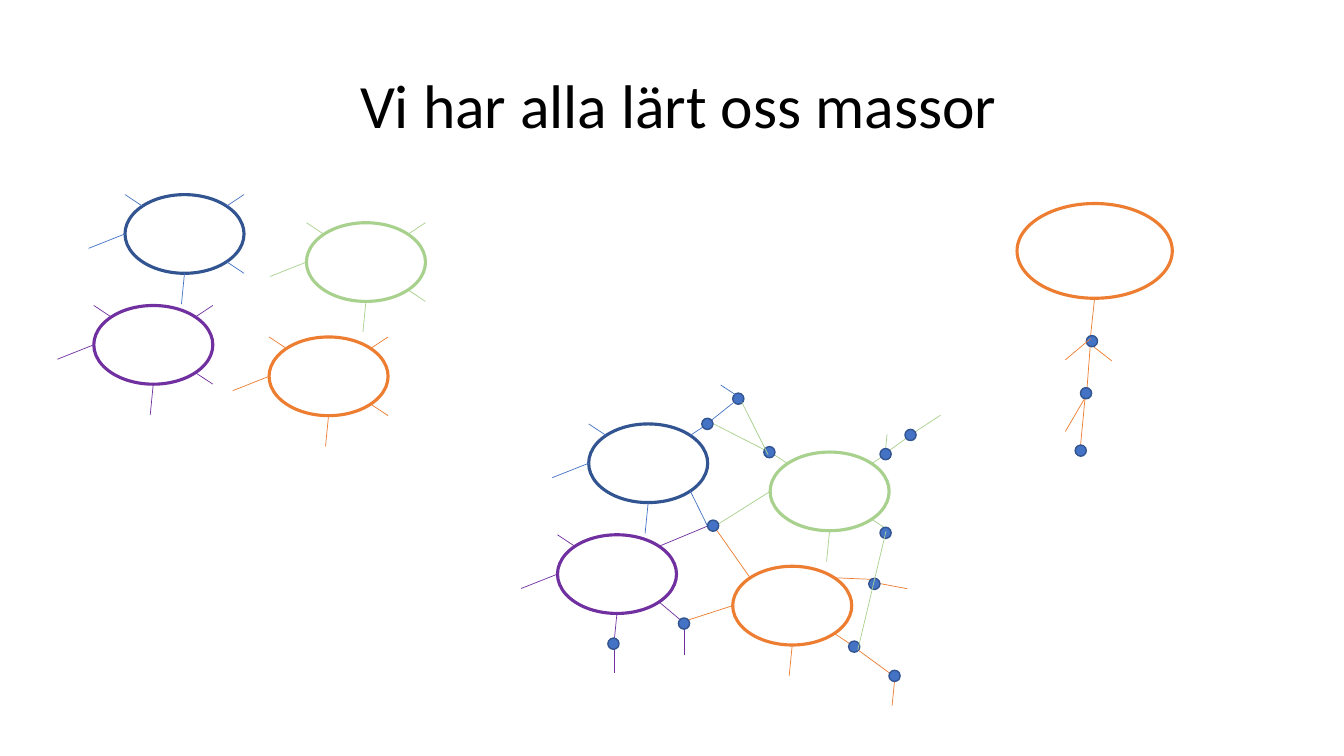
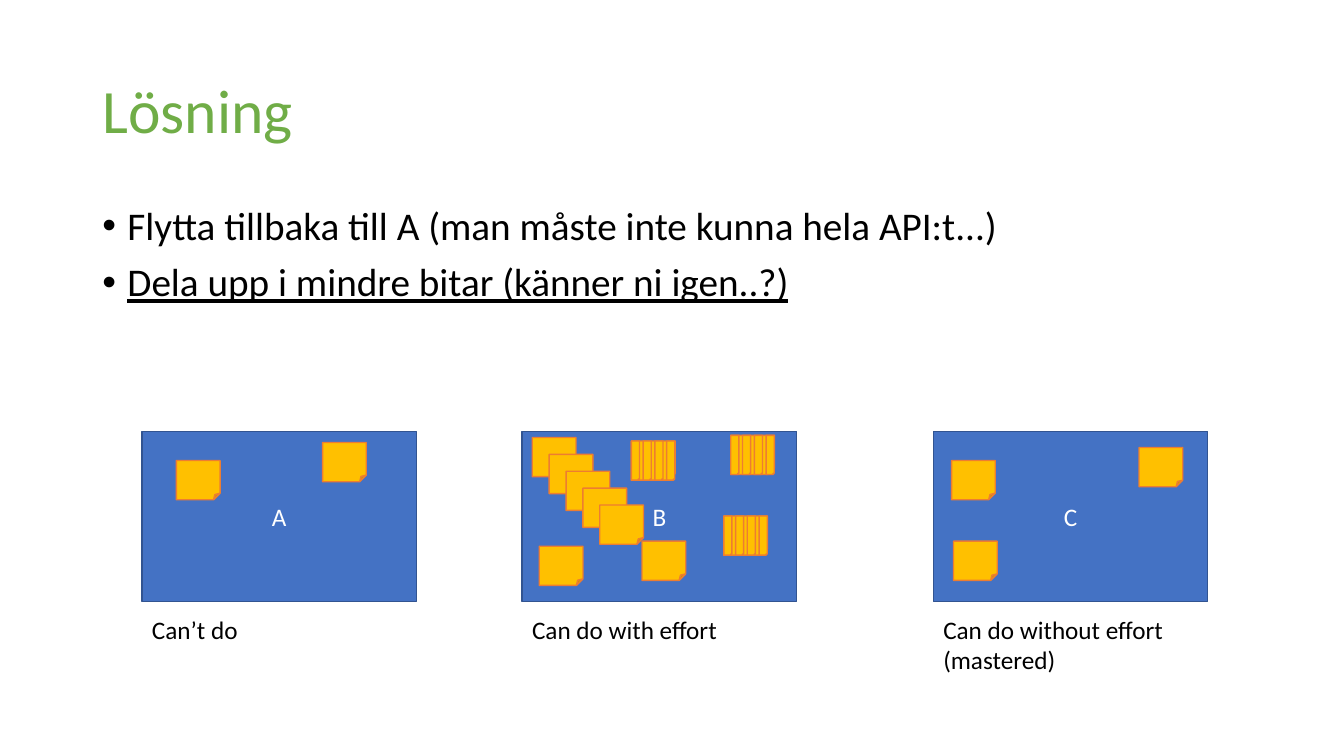
from dataclasses import dataclass, field
from enum import Enum
from typing import NamedTuple

from lxml.etree import SubElement
from pptx import Presentation
from pptx.dml.color import RGBColor
from pptx.enum.shapes import MSO_CONNECTOR as Conn, MSO_SHAPE as Geo
from pptx.enum.text import MSO_ANCHOR as Anchor, MSO_AUTO_SIZE as AutoSize, PP_ALIGN as Align
from pptx.oxml.ns import qn
from pptx.util import Pt


@dataclass(frozen=True)
class Theme:
    font: str = "Calibri"
    black: str = "000000"
    white: str = "FFFFFF"
    blue: str = "4472C4"
    navy: str = "325491"
    green: str = "A9D18E"
    leaf: str = "70AD47"
    purple: str = "7030A0"
    orange: str = "ED7D31"
    amber: str = "FFC000"
    title_size: float = 44
    body_size: float = 28
    label_size: float = 18
    bubble_line: float = 2.25
    ray_line: float = 0.5
    edge_line: float = 1


T = Theme()


class Point(NamedTuple):
    x: float
    y: float


class Box(NamedTuple):
    x: float
    y: float
    w: float
    h: float


class Ray(Enum):
    NE = "ne"
    NW = "nw"
    W = "w"
    S = "s"
    SE = "se"


class Bubble(NamedTuple):
    x: float
    y: float
    outline: str
    ray_color: str


class Link(NamedTuple):
    color: str
    start: Point
    end: Point


class Panel(NamedTuple):
    x: float
    letter: str
    caption: str
    caption_h: float


@dataclass
class Diagram:
    """Links lie under or over the dots that they join."""
    under: list[Link]
    dots: list[Point]
    over: list[Link] = field(default_factory=list)


SLIDE_W, SLIDE_H = 960, 540
BUBBLE_W, BUBBLE_H = 85, 56.2
DOT = 8
# Share of the width and height at which a corner ray meets the ellipse.
NEAR, FAR = 0.146, 0.854

RAYS = {
    Ray.NE: (Point(BUBBLE_W * FAR, BUBBLE_H * NEAR), Point(BUBBLE_W, 0)),
    Ray.NW: (Point(BUBBLE_W * NEAR, BUBBLE_H * NEAR), Point(0, 0)),
    Ray.W: (Point(0, BUBBLE_H / 2), Point(-26, BUBBLE_H / 2 + 10.3)),
    Ray.S: (Point(BUBBLE_W / 2, BUBBLE_H), Point(BUBBLE_W / 2 - 2.2, BUBBLE_H + 22)),
    Ray.SE: (Point(BUBBLE_W * FAR, BUBBLE_H * FAR), Point(BUBBLE_W, BUBBLE_H)),
}

BUBBLES = {
    "green": Bubble(218.9, 159.1, T.green, T.green),
    "purple": Bubble(67, 218.2, T.purple, T.purple),
    "blue": Bubble(89.3, 139, T.navy, T.blue),
    "orange": Bubble(192.2, 240.7, T.orange, T.orange),
}

NETWORK_OFFSET = Point(331.2, 163.8)
NETWORK_ENDS = {
    ("green", Ray.W): Point(506.2, 378.7),
    ("purple", Ray.NE): Point(505.4, 375.8),
    ("purple", Ray.SE): Point(486, 442.8),
    ("blue", Ray.SE): Point(505.4, 375.8),
    ("orange", Ray.NE): Point(627.1, 414),
    ("orange", Ray.NW): Point(511.9, 378.7),
    ("orange", Ray.W): Point(491.8, 442.8),
}
NETWORK = Diagram(
    under=[
        Link(T.orange, Point(625, 416.2), Point(648, 420.5)),
        Link(T.orange, Point(639.4, 482.4), Point(637.2, 504)),
        Link(T.orange, Point(609.1, 461.5), Point(638.6, 483.1)),
        Link(T.green, Point(632.2, 324.7), Point(633.6, 310.3)),
        Link(T.green, Point(632.2, 324), Point(650.2, 311)),
        Link(T.green, Point(650.9, 310.3), Point(671.8, 296.6)),
        Link(T.green, Point(548.6, 322.6), Point(509, 302.4)),
        Link(T.purple, Point(438.5, 458.6), Point(438.5, 481)),
        Link(T.purple, Point(488.9, 445.7), Point(488.9, 468)),
        Link(T.blue, Point(505.4, 302.4), Point(523.4, 288)),
    ],
    dots=[
        Point(610.2, 461.9), Point(639, 482.8), Point(632.6, 324.4),
        Point(650.4, 310.7), Point(549.6, 323), Point(505.3, 302.8),
        Point(438.2, 459.8), Point(527.4, 284.8), Point(632.6, 380.6),
        Point(488.6, 445.4), Point(624.6, 417.1), Point(509.4, 375.5),
    ],
    over=[
        Link(T.green, Point(548.6, 324.7), Point(529.9, 287.3)),
        Link(T.green, Point(632.9, 379.4), Point(612.7, 464.4)),
        Link(T.blue, Point(527, 283), Point(514.8, 275)),
    ],
)

FIGURE_HEAD = Box(726.5, 145.4, 110.9, 67.7)
FIGURE = Diagram(
    under=[
        Link(T.orange, Point(781.2, 247.7), Point(794.2, 257.8)),
        Link(T.orange, Point(776.2, 282.2), Point(761, 308.2)),
        Link(T.orange, Point(781.9, 213.1), Point(779, 239.8)),
        Link(T.orange, Point(779, 244), Point(776.2, 280.8)),
        Link(T.orange, Point(775.4, 280.8), Point(771.8, 318.2)),
    ],
    dots=[Point(780, 243.7), Point(775.8, 280.9), Point(772, 321.9)],
    over=[Link(T.orange, Point(779, 241.9), Point(761, 257))],
)

PANEL_Y, PANEL_W, PANEL_H = 308, 196, 121.7
CAPTION_Y = 434.9
PANELS = [
    Panel(101.5, "A", "Can’t do", 29),
    Panel(373, "B", "Can do with effort", 29),
    Panel(666.7, "C", "Can do without effort (mastered)", 51),
]

NOTE_W, NOTE_H = 31.2, 28
CASCADE_START, CASCADE_STEP, CASCADE_COUNT = Point(380.2, 312.5), 12.06, 5
STRIP_W, STRIP_STEP, STRIP_COUNT = 5.8, 8.4, 4
SINGLE_NOTES = [
    Point(458.6, 386.6), Point(385.2, 390.2), Point(230.4, 316.1), Point(126, 329),
    Point(679.7, 329), Point(813.6, 319.7), Point(681.1, 386.6),
]
SLICED_NOTES = [Point(451, 315), Point(517, 368.6), Point(522, 311)]
BULLETS = [
    ("Flytta tillbaka till A (man måste inte kunna hela API:t...)", False),
    ("Dela upp i mindre bitar (känner ni igen..?)", True),
]


def rgb(color: str) -> RGBColor:
    return RGBColor.from_string(color)


def add_run(p, text: str, size: float, color: str, underline: bool = False) -> None:
    r = p.add_run()
    r.text = text
    r.font.name, r.font.size = T.font, Pt(size)
    r.font.color.rgb = rgb(color)
    if underline:
        r.font.underline = True


def add_outline(shapes, geo: Geo, box: Box, fill: str, line: str, width: float):
    sp = shapes.add_shape(geo, *map(Pt, box))
    sp.shadow.inherit = False
    sp.fill.solid()
    sp.fill.fore_color.rgb = rgb(fill)
    sp.line.color.rgb = rgb(line)
    sp.line.width = Pt(width)
    return sp


def add_line(shapes, link: Link) -> None:
    cx = shapes.add_connector(Conn.STRAIGHT, *map(Pt, (*link.start, *link.end)))
    cx.line.color.rgb = rgb(link.color)
    cx.line.width = Pt(T.ray_line)
    SubElement(cx._element.spPr, qn("a:effectLst"))


def add_text_box(s, box: Box):
    tf = s.shapes.add_textbox(*map(Pt, box)).text_frame
    tf.word_wrap = True
    return tf


def add_titled_slide(prs, text: str, box: Box, color: str):
    s = prs.slides.add_slide(prs.slide_layouts[5])
    sp = s.shapes.title
    sp.left, sp.top, sp.width, sp.height = map(Pt, box)
    tf = sp.text_frame
    tf.auto_size = AutoSize.NONE
    tf.vertical_anchor = Anchor.MIDDLE
    p = tf.paragraphs[0]
    p.alignment, p.line_spacing = Align.LEFT, 0.9
    add_run(p, text, T.title_size, color)
    return s


def add_bubbles(shapes, offset: Point = Point(0, 0),
                ends: dict[tuple[str, Ray], Point] | None = None) -> None:
    """Draw the four bubbles; ends gives the rays that reach another point."""
    for name, b in BUBBLES.items():
        x, y = b.x + offset.x, b.y + offset.y
        add_outline(shapes, Geo.OVAL, Box(x, y, BUBBLE_W, BUBBLE_H), T.white,
                    b.outline, T.bubble_line)
        for ray, (start, tip) in RAYS.items():
            end = (ends or {}).get((name, ray), Point(x + tip.x, y + tip.y))
            add_line(shapes, Link(b.ray_color, Point(x + start.x, y + start.y), end))


def add_diagram(shapes, diagram: Diagram) -> None:
    for link in diagram.under:
        add_line(shapes, link)
    for c in diagram.dots:
        add_outline(shapes, Geo.OVAL, Box(c.x - DOT / 2, c.y - DOT / 2, DOT, DOT),
                    T.blue, T.navy, T.edge_line)
    for link in diagram.over:
        add_line(shapes, link)


def add_panel(s, panel: Panel) -> None:
    sp = add_outline(s.shapes, Geo.RECTANGLE, Box(panel.x, PANEL_Y, PANEL_W, PANEL_H),
                     T.blue, T.navy, T.edge_line)
    sp.text_frame.vertical_anchor = Anchor.MIDDLE
    p = sp.text_frame.paragraphs[0]
    p.alignment = Align.CENTER
    add_run(p, panel.letter, T.label_size, T.white)
    tf = add_text_box(s, Box(panel.x, CAPTION_Y, PANEL_W, panel.caption_h))
    add_run(tf.paragraphs[0], panel.caption, T.label_size, T.black)


def add_note(s, at: Point, width: float = NOTE_W) -> None:
    add_outline(s.shapes, Geo.FOLDED_CORNER, Box(*at, width, NOTE_H),
                T.amber, T.orange, T.edge_line)


def add_bullets(s, box: Box) -> None:
    tf = add_text_box(s, box)
    for i, (text, underline) in enumerate(BULLETS):
        p = tf.add_paragraph() if i else tf.paragraphs[0]
        p.line_spacing, p.space_before = 0.9, Pt(10 if i else 0)
        pPr = p._p.get_or_add_pPr()
        pPr.set("marL", str(Pt(18)))
        pPr.set("indent", str(Pt(-18)))
        SubElement(pPr, qn("a:buFont"), typeface="Arial")
        SubElement(pPr, qn("a:buChar"), char="•")
        add_run(p, text, T.body_size, T.black, underline)


def build_learning_slide(prs) -> None:
    s = add_titled_slide(prs, "Vi har alla lärt oss massor", Box(250, 25, 643.7, 104.4), T.black)
    add_bubbles(s.shapes.add_group_shape().shapes)
    figure = s.shapes.add_group_shape().shapes
    add_outline(figure, Geo.OVAL, FIGURE_HEAD, T.white, T.orange, T.bubble_line)
    add_diagram(figure, FIGURE)
    network = s.shapes.add_group_shape().shapes
    add_bubbles(network, NETWORK_OFFSET, NETWORK_ENDS)
    add_diagram(network, NETWORK)


def build_solution_slide(prs) -> None:
    s = add_titled_slide(prs, "Lösning", Box(66, 28.8, 828, 104.4), T.leaf)
    add_bullets(s, Box(66, 144, 828, 78.5))
    for panel in PANELS:
        add_panel(s, panel)
    for i in range(CASCADE_COUNT):
        step = i * CASCADE_STEP
        add_note(s, Point(CASCADE_START.x + step, CASCADE_START.y + step))
    for at in SINGLE_NOTES:
        add_note(s, at)
    for at in SLICED_NOTES:
        add_note(s, at)
        for i in range(STRIP_COUNT):
            add_note(s, Point(at.x + i * STRIP_STEP, at.y), STRIP_W)


def main() -> None:
    prs = Presentation()
    prs.slide_width, prs.slide_height = Pt(SLIDE_W), Pt(SLIDE_H)
    build_learning_slide(prs)
    build_solution_slide(prs)
    prs.save("out.pptx")


if __name__ == "__main__":
    main()
